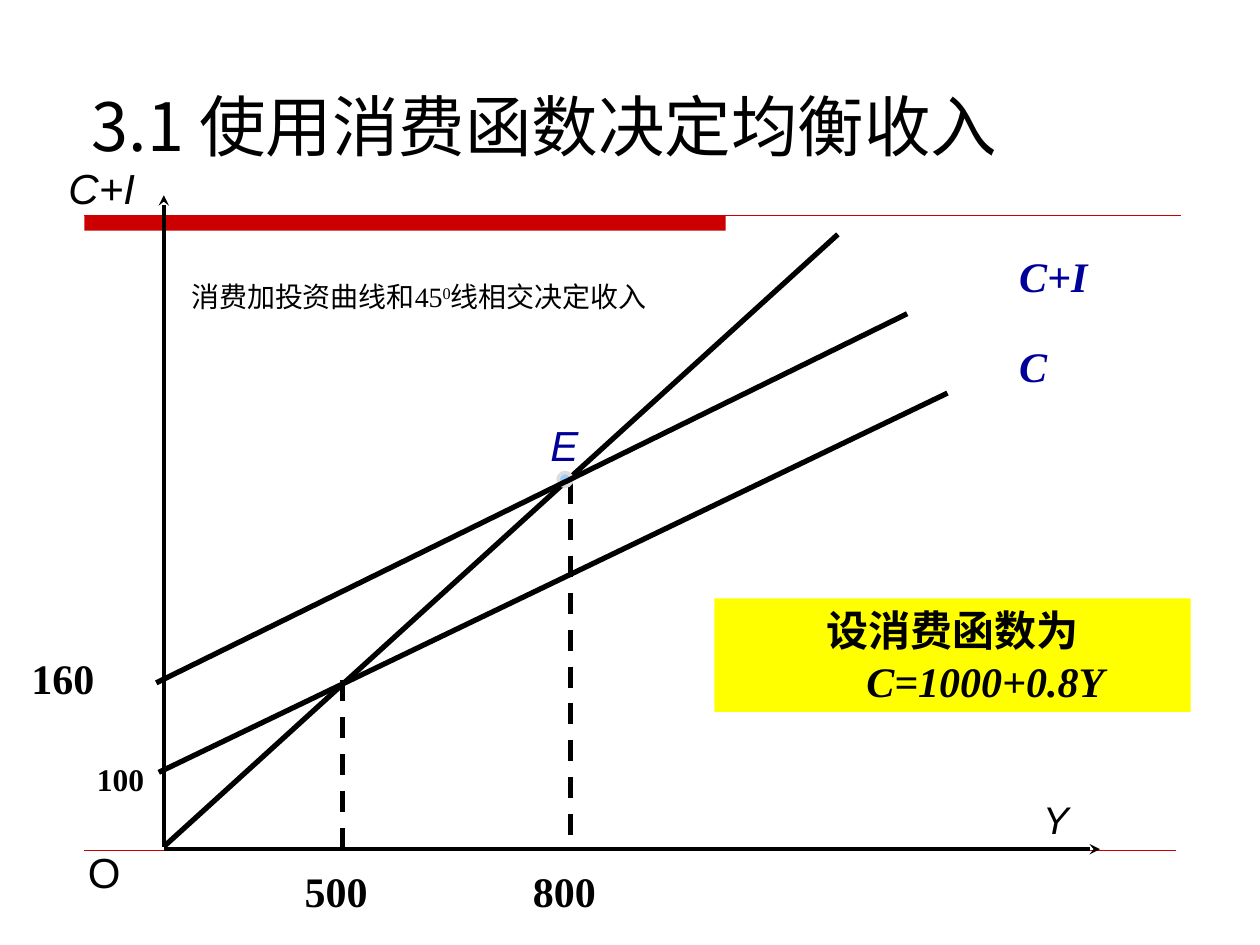
from dataclasses import dataclass
from typing import Optional

from lxml.etree import SubElement
from pptx import Presentation
from pptx.dml.color import RGBColor
from pptx.enum.dml import MSO_LINE
from pptx.enum.shapes import MSO_CONNECTOR, MSO_SHAPE
from pptx.enum.text import MSO_ANCHOR, MSO_AUTO_SIZE, PP_ALIGN
from pptx.oxml.ns import qn
from pptx.util import Inches, Pt


@dataclass(frozen=True)
class Theme:
    ink: str = "000000"
    accent: str = "CC0000"
    blue: str = "000099"
    dot: str = "99CCFF"
    dot_edge: str = "DDDDDD"
    formula_fill: str = "FFFF00"
    sans: str = "Arial"
    serif: str = "Times New Roman"
    chinese: str = "Noto Sans CJK SC"
    title_size: int = 38
    label_size: int = 24
    y_size: int = 22
    small_size: int = 18
    note_size: int = 16
    curve_width: float = 3
    axis_width: float = 2


@dataclass(frozen=True)
class Line:
    x1: float
    y1: float
    x2: float
    y2: float
    width: float
    color: str = Theme.ink
    dash: bool = False
    head: bool = False


@dataclass(frozen=True)
class Label:
    texts: tuple[str, ...]
    x: float
    y: float
    w: float
    h: float
    size: int = Theme.label_size
    font: str = Theme.serif
    color: str = Theme.ink
    bold: bool = False
    italics: tuple[bool, ...] = (False,)
    align: PP_ALIGN = PP_ALIGN.LEFT
    wrap: bool = True
    fit: bool = True
    hanging: float = 0
    superscript: Optional[int] = None


THEME = Theme()
COLUMNS, ROWS = 100, 75
AXIS_X, AXIS_Y = 13, 67.4
BAR_LEFT, BAR_TOP = 6.7, 17.1

deck = Presentation()
deck.slide_width, deck.slide_height = Inches(10), Inches(7.5)
slide = deck.slides.add_slide(deck.slide_layouts[6])


def col(count: float) -> int:
    return round(deck.slide_width * count / COLUMNS)


def row(count: float) -> int:
    return round(deck.slide_height * count / ROWS)


def draw_line(line: Line) -> None:
    connector = slide.shapes.add_connector(
        MSO_CONNECTOR.STRAIGHT, col(line.x1), row(line.y1), col(line.x2), row(line.y2)
    )
    connector.line.color.rgb = RGBColor.from_string(line.color)
    connector.line.width = Pt(line.width)
    if line.dash:
        connector.line.dash_style = MSO_LINE.DASH
    if line.head:
        SubElement(connector.line._get_or_add_ln(), qn("a:tailEnd"), type="stealth")
    SubElement(connector._element.spPr, qn("a:effectLst"))


def draw_block(kind: MSO_SHAPE, x: float, y: float, w: float, h: float,
               fill: str, edge: Optional[str] = None) -> None:
    block = slide.shapes.add_shape(kind, col(x), row(y), col(w), row(h))
    block.shadow.inherit = False
    block.fill.solid()
    block.fill.fore_color.rgb = RGBColor.from_string(fill)
    if edge:
        block.line.color.rgb = RGBColor.from_string(edge)
        block.line.width = Pt(THEME.axis_width)
    else:
        block.line.fill.background()


def draw_label(label: Label) -> None:
    box = slide.shapes.add_textbox(col(label.x), row(label.y), col(label.w), row(label.h))
    frame = box.text_frame
    frame.word_wrap = label.wrap
    frame.auto_size = MSO_AUTO_SIZE.SHAPE_TO_FIT_TEXT if label.fit else MSO_AUTO_SIZE.NONE
    frame.vertical_anchor = MSO_ANCHOR.TOP if label.fit else MSO_ANCHOR.MIDDLE
    paragraph = frame.paragraphs[0]
    paragraph.alignment = label.align
    if label.hanging:
        properties = paragraph._p.get_or_add_pPr()
        properties.set("marL", str(col(label.hanging)))
        properties.set("indent", str(-col(label.hanging)))
    for index, text in enumerate(label.texts):
        run = paragraph.add_run()
        run.text = text
        run.font.size = Pt(label.size)
        run.font.name = label.font
        run.font.bold = label.bold
        run.font.italic = label.italics[index % len(label.italics)]
        run.font.color.rgb = RGBColor.from_string(label.color)
        properties = run._r.get_or_add_rPr()
        SubElement(properties, qn("a:ea"), typeface=THEME.chinese)
        if index == label.superscript:
            properties.set("baseline", "30000")


def axis_name(text: str, x: float, y: float, w: float, h: float = 5,
              size: int = THEME.label_size, color: str = THEME.ink,
              italic: bool = True, align: PP_ALIGN = PP_ALIGN.LEFT) -> Label:
    return Label((text,), x, y, w, h, size, THEME.sans, color,
                 italics=(italic,), align=align, wrap=False)


def value(text: str, x: float, y: float, w: float = 7.1, h: float = 5,
          size: int = THEME.label_size) -> Label:
    return Label((text,), x, y, w, h, size, bold=True)


def curve_name(text: str, y: float) -> Label:
    return Label((text,), 79.9, y, 9.4, 5, color=THEME.blue, bold=True, italics=(True,))


rules_and_axes = [
    Line(BAR_LEFT, BAR_TOP, 93.7, BAR_TOP, 0.75, THEME.accent),
    Line(BAR_LEFT, 67.5, 93.3, 67.5, 0.25, THEME.accent),
    Line(AXIS_X, 67.2, AXIS_X, 15.5, THEME.axis_width, head=True),
    Line(AXIS_X, AXIS_Y, 87.3, AXIS_Y, THEME.axis_width, head=True),
]
diagonal = Line(AXIS_X, 67.2, 66.5, 18.6, THEME.curve_width)
drop_lines = [
    Line(x, top, x, AXIS_Y, THEME.curve_width, dash=True)
    for x, top in ((27.2, 54), (45.3, 38.3))
]
spending_curves = [
    Line(12.6, 61.3, 75.2, 31.2, THEME.curve_width),
    Line(12.4, 54.2, 72, 24.9, THEME.curve_width),
]
labels = [
    Label(("3.1 使用消费函数决定均衡收入",), 6.3, 3.3, 87.5, 13.3,
          THEME.title_size, THEME.chinese, fit=False),
    axis_name("O", 6, 66.7, 4.6, italic=False),
    axis_name("C+I", 4.4, 12.4, 7.3, align=PP_ALIGN.RIGHT),
    axis_name("Y", 81.8, 62.7, 4.1, 4.7, THEME.y_size),
    axis_name("E", 42.7, 32.8, 4.2, color=THEME.blue, align=PP_ALIGN.CENTER),
    value("100", 6.7, 59.8, 7.4, 4, THEME.small_size),
    value("160", 1.5, 51.3, 17.4),
    value("500", 23.2, 68.2),
    value("800", 41.3, 68.2),
    curve_name("C", 26.5),
    curve_name("C+I", 19.4),
    Label(("设消费函数为", "C=1000+0.8Y"), 56.7, 47.5, 37.8, 9, bold=True,
          italics=(False, True), align=PP_ALIGN.CENTER, hanging=5.2),
    Label(("消费加投资曲线和45", "0", "线相交决定收入"), 14.2, 21.7, 46.5, 3.7,
          THEME.note_size, superscript=1),
]

draw_block(MSO_SHAPE.RECTANGLE, BAR_LEFT, BAR_TOP, 50.9, 1.2, THEME.accent)
for stroke in [*rules_and_axes, diagonal, *drop_lines]:
    draw_line(stroke)
draw_block(MSO_SHAPE.OVAL, 44.3, 37.5, 1.1, 1.1, THEME.dot, THEME.dot_edge)
for stroke in spending_curves:
    draw_line(stroke)
draw_block(MSO_SHAPE.RECTANGLE, 56.7, 47.5, 37.8, 9, THEME.formula_fill)
for label in labels:
    draw_label(label)

deck.save("out.pptx")
